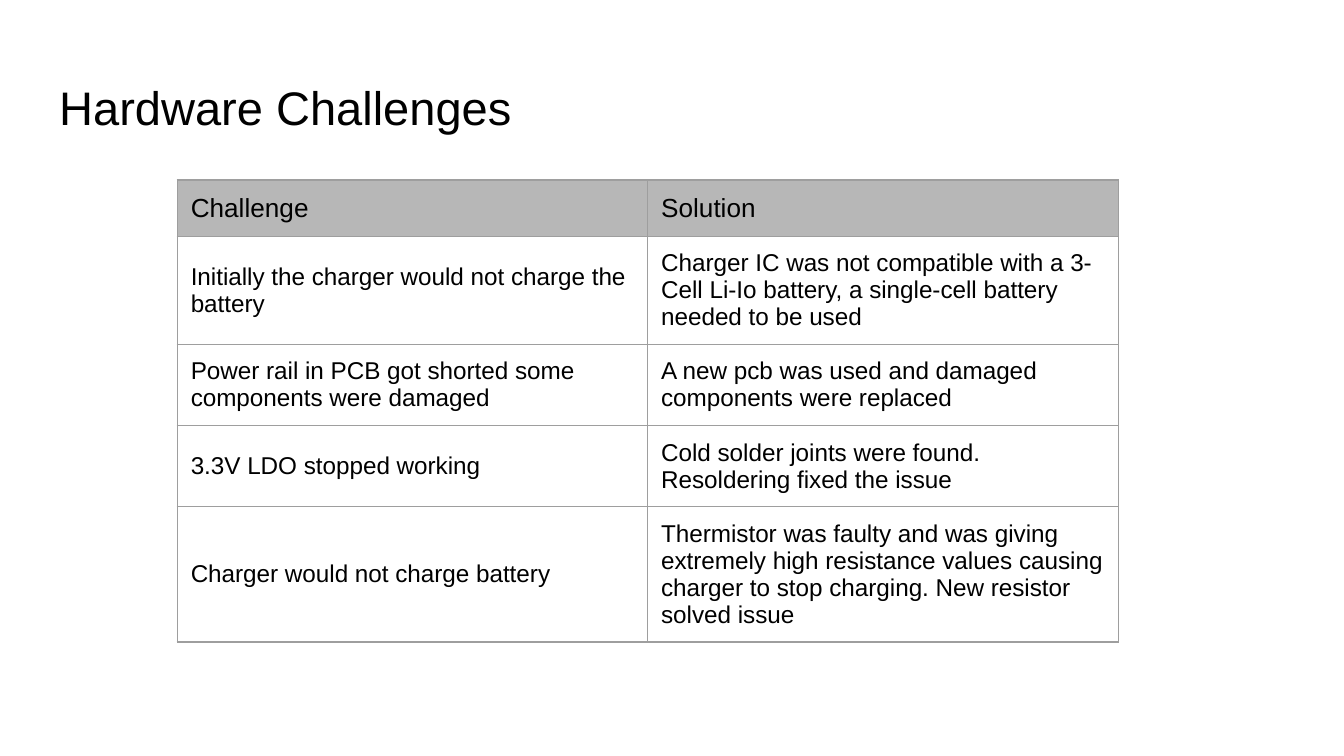
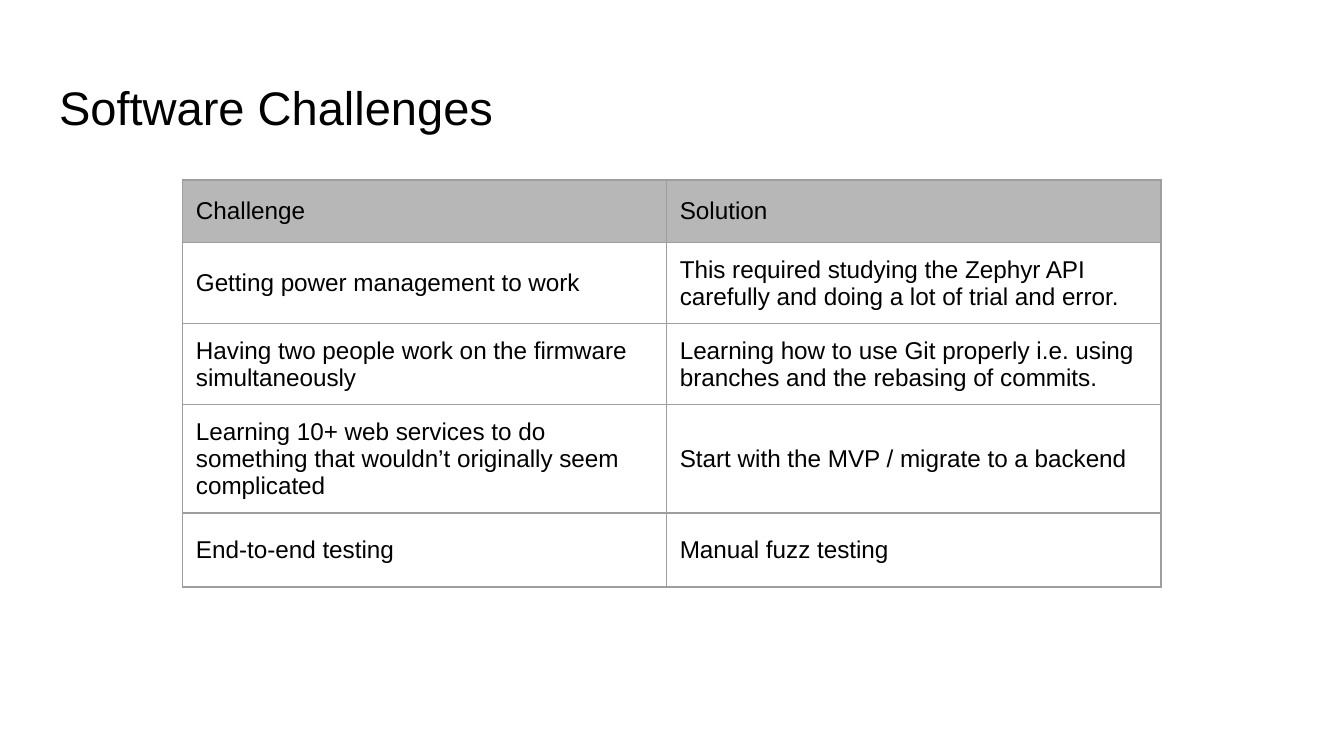
from lxml import etree
from pptx import Presentation
from pptx.dml.color import RGBColor
from pptx.enum.text import MSO_ANCHOR, MSO_AUTO_SIZE, PP_ALIGN
from pptx.oxml.ns import qn
from pptx.util import Pt

MIDDLE = MSO_ANCHOR.MIDDLE
LEFT = PP_ALIGN.LEFT
NO_AUTOFIT = MSO_AUTO_SIZE.NONE

BLACK = RGBColor(0x00, 0x00, 0x00)
WHITE = RGBColor(0xFF, 0xFF, 0xFF)
HEADER_GRAY = RGBColor(0xB7, 0xB7, 0xB7)
BORDER_GRAY = RGBColor(0x9E, 0x9E, 0x9E)

FONT = "Arial"
INSET = Pt(7.2)
TABLE_TOP = Pt(96.4)
ROW_HEIGHT = Pt(39.6)
BODY_SIZE = 13
TITLE_ONLY = 5

HEADINGS = ("Challenge", "Solution")

HARDWARE = [
    ("Initially the charger would not charge the battery",
     "Charger IC was not compatible with a 3-Cell Li-Io battery, "
     "a single-cell battery needed to be used"),
    ("Power rail in PCB got shorted some components were damaged",
     "A new pcb was used and damaged components were replaced"),
    ("3.3V LDO stopped working",
     "Cold solder joints were found. Resoldering fixed the issue"),
    ("Charger would not charge battery",
     "Thermistor was faulty and was giving extremely high resistance values "
     "causing charger to stop charging. New resistor solved issue"),
]

SOFTWARE = [
    ("Getting power management to work",
     "This required studying the Zephyr API carefully and doing a lot of "
     "trial and error."),
    ("Having two people work on the firmware simultaneously",
     "Learning how to use Git properly i.e. using branches and the rebasing "
     "of commits."),
    ("Learning 10+ web services to do something that wouldn’t originally "
     "seem complicated",
     "Start with the MVP / migrate to a backend"),
    ("End-to-end testing", "Manual fuzz testing"),
]


def write_text(frame, text, size=BODY_SIZE, color=BLACK, align=LEFT):
    frame.word_wrap = True
    paragraph = frame.paragraphs[0]
    paragraph.alignment = align
    run = paragraph.add_run()
    run.text = text
    run.font.name = FONT
    run.font.size = Pt(size)
    run.font.color.rgb = color


def set_insets(holder):
    holder.margin_left = holder.margin_right = INSET
    holder.margin_top = holder.margin_bottom = INSET
    holder.vertical_anchor = MIDDLE


def add_title(slide, text):
    title = slide.shapes.title
    title.left, title.top = Pt(24.5), Pt(34.5)
    title.width, title.height = Pt(671), Pt(45.4)
    frame = title.text_frame
    frame.auto_size = NO_AUTOFIT
    set_insets(frame)
    write_text(frame, text, size=25.2)


def add_borders(cell):
    properties = cell._tc.get_or_add_tcPr()
    for side in ("lnL", "lnR", "lnT", "lnB"):
        line = etree.SubElement(properties, qn(f"a:{side}"), w=str(Pt(0.75)))
        fill = etree.SubElement(line, qn("a:solidFill"))
        etree.SubElement(fill, qn("a:srgbClr"), val=str(BORDER_GRAY))


def format_cell(cell, text, size, fill):
    set_insets(cell)
    add_borders(cell)
    cell.fill.solid()
    cell.fill.fore_color.rgb = fill
    write_text(cell.text_frame, text, size=size)


def add_challenge_table(slide, challenges, left, widths, header_height,
                        header_size):
    rows = [HEADINGS, *challenges]
    heights = [Pt(header_height)] + [ROW_HEIGHT] * len(challenges)
    table = slide.shapes.add_table(
        len(rows), len(HEADINGS), Pt(left), TABLE_TOP,
        Pt(sum(widths)), sum(heights)).table
    table.horz_banding = False
    for column, width in zip(table.columns, widths):
        column.width = Pt(width)
    for r, (texts, height) in enumerate(zip(rows, heights)):
        table.rows[r].height = height
        size, fill = (BODY_SIZE, WHITE) if r else (header_size, HEADER_GRAY)
        for c, text in enumerate(texts):
            format_cell(table.cell(r, c), text, size, fill)


def add_challenge_slide(deck, title, challenges, **layout):
    slide = deck.slides.add_slide(deck.slide_layouts[TITLE_ONLY])
    add_title(slide, title)
    add_challenge_table(slide, challenges, **layout)


def main():
    deck = Presentation()
    deck.slide_width, deck.slide_height = Pt(720), Pt(405)

    # Hardware problems and fixes
    add_challenge_slide(deck, "Hardware Challenges", HARDWARE, left=95,
                        widths=(252, 252), header_height=17.3, header_size=14)

    # Software problems and fixes
    add_challenge_slide(deck, "Software Challenges", SOFTWARE, left=97.8,
                        widths=(259.2, 265), header_height=33.6,
                        header_size=BODY_SIZE)

    deck.save("out.pptx")


if __name__ == "__main__":
    main()
